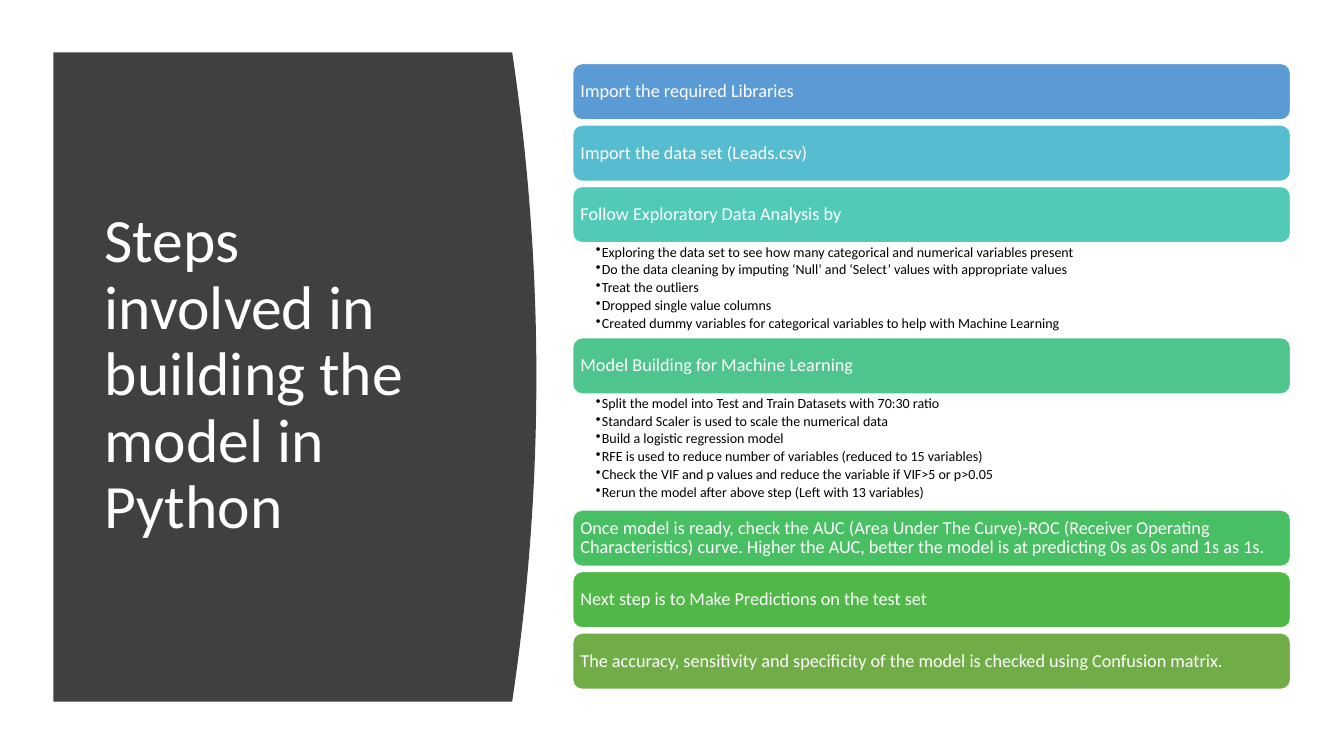
import pptx
import pptx.util
import pptx.dml.color
import pptx.enum.shapes
import pptx.enum.text
import pptx.oxml.ns
from lxml import etree

RGB = pptx.dml.color.RGBColor
INCH = pptx.util.Inches
PT = pptx.util.Pt
ANCHOR = pptx.enum.text.MSO_ANCHOR

WHITE = RGB(0xFF, 0xFF, 0xFF)
BLACK = RGB(0, 0, 0)
DARK = RGB(0x40, 0x40, 0x40)
FONT = "Calibri"

TITLE = "Steps involved in building the model in Python"
STEPS = [
    ("Import the required Libraries", RGB(0x5B, 0x9B, 0xD5), []),
    ("Import the data set (Leads.csv)", RGB(0x56, 0xBC, 0xD0), []),
    ("Follow Exploratory Data Analysis by", RGB(0x52, 0xCA, 0xB8), [
        "Exploring the data set to see how many categorical and numerical variables present",
        "Do the data cleaning by imputing ‘Null’ and ‘Select’ values with appropriate values",
        "Treat the outliers",
        "Dropped single value columns",
        "Created dummy variables for categorical variables to help with Machine Learning",
    ]),
    ("Model Building for Machine Learning", RGB(0x4D, 0xC5, 0x8D), [
        "Split the model into Test and Train Datasets with 70:30 ratio",
        "Standard Scaler is used to scale the numerical data",
        "Build a logistic regression model",
        "RFE is used to reduce number of variables (reduced to 15 variables)",
        "Check the VIF and p values and reduce the variable if VIF>5 or p>0.05",
        "Rerun the model after above step (Left with 13 variables)",
    ]),
    ("Once model is ready, check the AUC (Area Under The Curve)-ROC (Receiver "
     "Operating Characteristics) curve. Higher the AUC, better the model is at "
     "predicting 0s as 0s and 1s as 1s.", RGB(0x49, 0xBF, 0x64), []),
    ("Next step is to Make Predictions on the test set", RGB(0x50, 0xB8, 0x46), []),
    ("The accuracy, sensitivity and specificity of the model is checked using "
     "Confusion matrix.", RGB(0x70, 0xAD, 0x47), []),
]

# Inches
WIDE, HIGH = 13.33, 7.5
LEFT, TOP, SPAN = 5.68, 0.63, 7.12
BAR, GAP = 0.56, 0.05
ROW, PAD = 0.21, 0.1 - 0.21  # notes take ROW per line, plus PAD
NOTES = {5: 0.94, 6: 1.15}
PANEL = dict(left=0.53, top=0.52, edge=5.08, base=6.96, bulge=0.24)


def bullet(para):
    """Give a paragraph a hanging bullet."""
    prop = para._p.get_or_add_pPr()
    prop.set("marL", str(INCH(0.06)))
    prop.set("indent", str(-INCH(0.06)))
    mark = etree.SubElement(prop, pptx.oxml.ns.qn("a:buChar"))
    mark.set("char", "•")


def write(shape, lines, size, color, inset=(0.1, 0.05, 0.1, 0.05),
          anchor=ANCHOR.MIDDLE, after=0, dots=False):
    """Fill a shape with one formatted paragraph per line."""
    frame = shape.text_frame
    frame.word_wrap = True
    frame.vertical_anchor = anchor
    (frame.margin_left, frame.margin_top,
     frame.margin_right, frame.margin_bottom) = map(INCH, inset)
    for at, line in enumerate(lines):
        para = frame.add_paragraph() if at else frame.paragraphs[0]
        para.alignment = pptx.enum.text.PP_ALIGN.LEFT
        para.line_spacing = 0.9
        para.space_after = PT(after)
        if dots:
            bullet(para)
        run = para.add_run()
        run.text = line
        run.font.name, run.font.size = FONT, PT(size)
        run.font.color.rgb = color


def paint(shape, fill):
    """Set a flat fill and drop the shadow."""
    shape.shadow.inherit = False
    shape.fill.solid()
    shape.fill.fore_color.rgb = fill


def panel(shapes, left, top, edge, base, bulge, cuts=40):
    """Draw the dark panel whose right side bows outward."""
    side = []
    for cut in range(cuts + 1):
        turn = 2 * cut / cuts - 1
        side.append((INCH(edge + bulge * (1 - turn ** 2)),
                     INCH(top + (base - top) * cut / cuts)))
    pen = shapes.build_freeform(INCH(left), INCH(top))
    pen.add_line_segments(side + [(INCH(left), INCH(base))], close=True)
    shape = pen.convert_to_shape()
    paint(shape, DARK)
    shape.line.fill.background()


def bar(shapes, top, text, fill):
    """Draw one step as a rounded bar."""
    shape = shapes.add_shape(
        pptx.enum.shapes.MSO_SHAPE.ROUNDED_RECTANGLE,
        INCH(LEFT), INCH(top), INCH(SPAN), INCH(BAR))
    paint(shape, fill)
    shape.line.color.rgb = WHITE
    shape.line.width = PT(1)
    write(shape, [text], 13, WHITE, inset=(0.05,) * 4)


def notes(shapes, top, lines, high):
    """List the details of a step below its bar."""
    box = shapes.add_textbox(INCH(LEFT), INCH(top), INCH(SPAN), INCH(high))
    write(box, lines, 10, BLACK, inset=(0.23, 0.02, 0.1, 0.02),
          anchor=ANCHOR.TOP, after=1.9, dots=True)


def main():
    """Build and save the slide."""
    deck = pptx.Presentation()
    deck.slide_width, deck.slide_height = INCH(WIDE), INCH(HIGH)
    shapes = deck.slides.add_slide(deck.slide_layouts[6]).shapes
    panel(shapes, **PANEL)
    head = shapes.add_textbox(INCH(0.94), INCH(1.11), INCH(3.74), INCH(5.24))
    write(head, [TITLE], 44, WHITE)
    top = TOP
    for text, fill, lines in STEPS:
        bar(shapes, top, text, fill)
        top += BAR
        if lines:
            high = NOTES[len(lines)]
            notes(shapes, top, lines, high)
            top += high
        else:
            top += GAP
    deck.save("out.pptx")


main()
